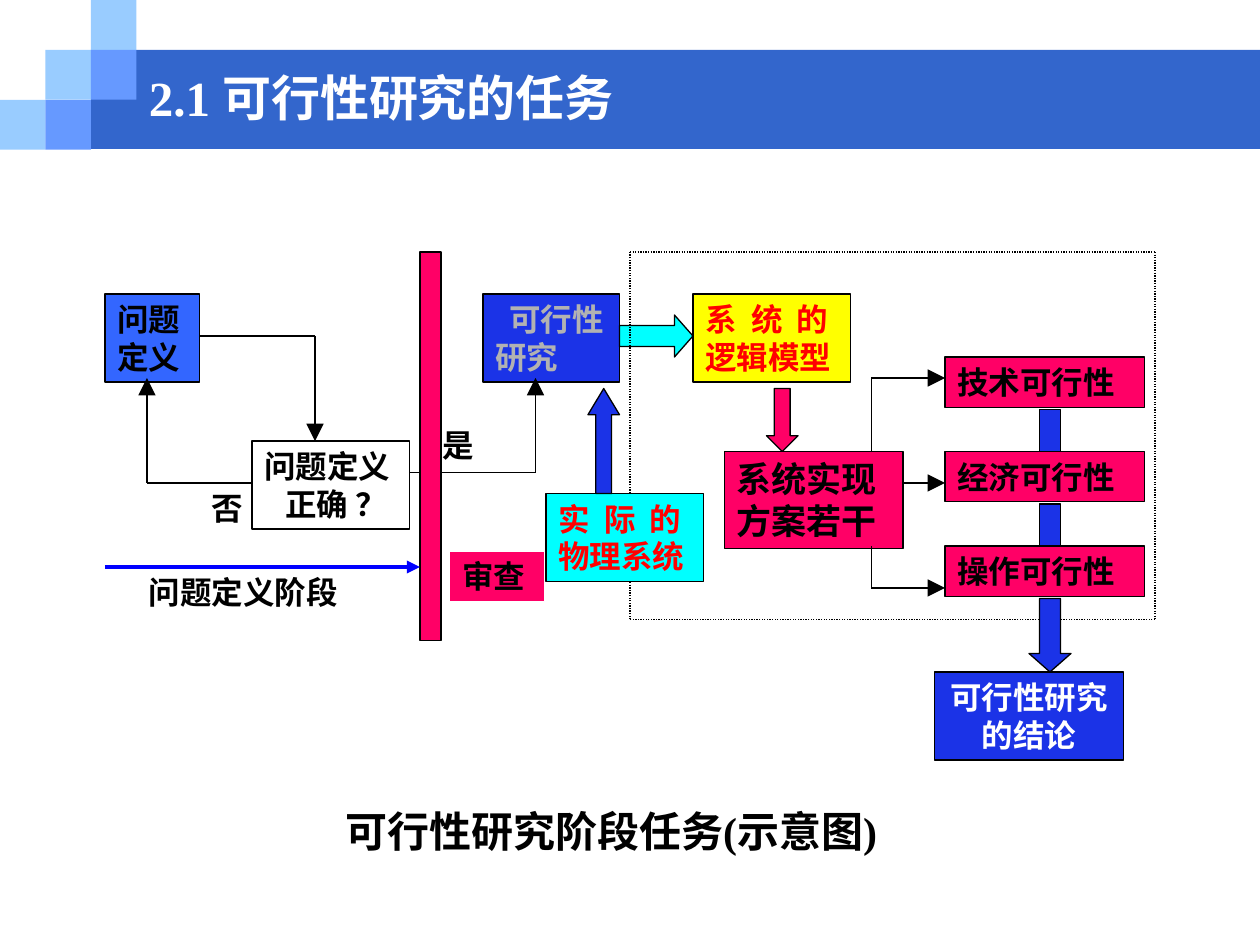
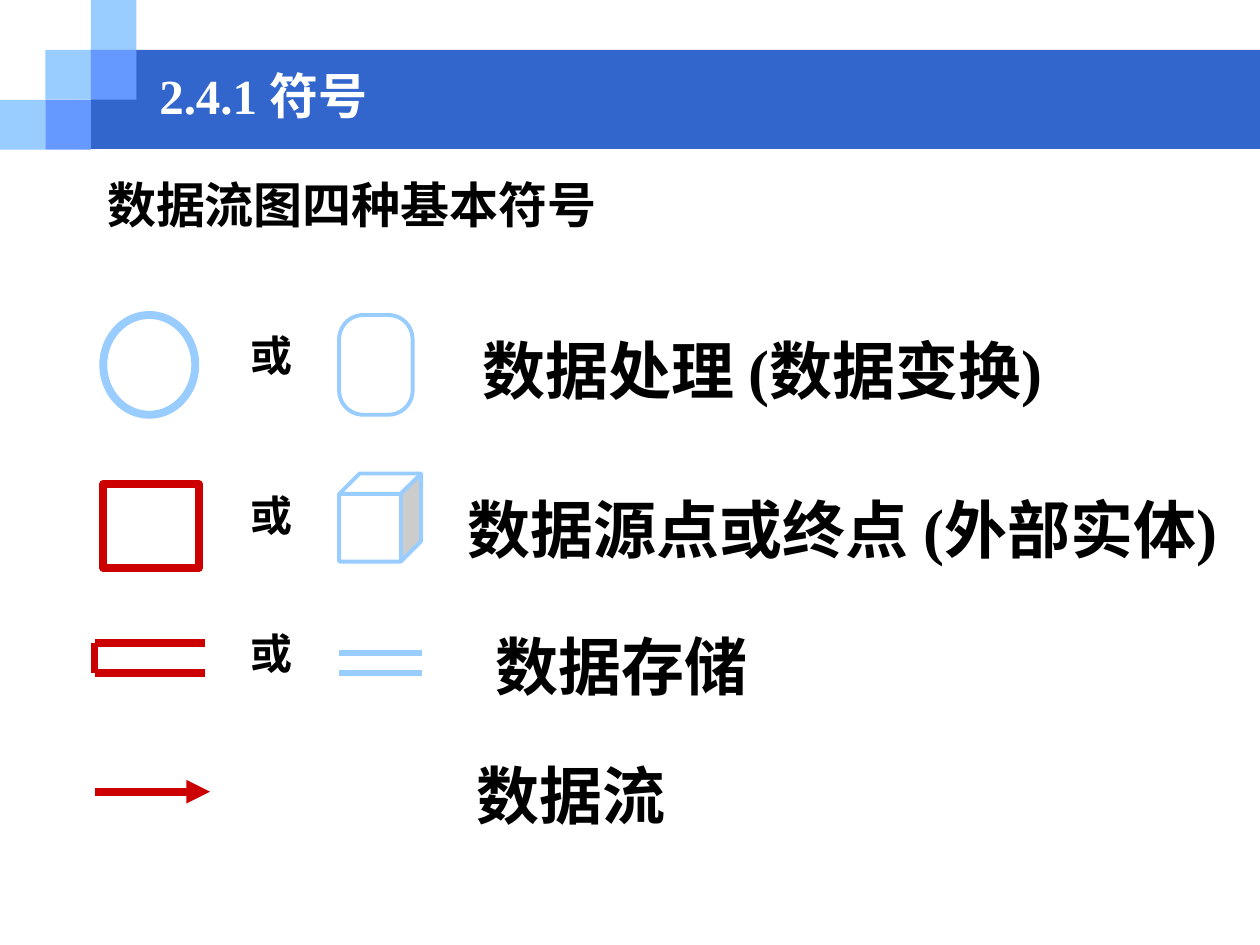
from itertools import pairwise

from lxml.etree import SubElement
from pptx import Presentation
from pptx.dml.color import RGBColor
from pptx.enum.dml import MSO_LINE_DASH_STYLE as Dash
from pptx.enum.shapes import MSO_CONNECTOR as Connector, MSO_SHAPE as Shape
from pptx.enum.text import MSO_ANCHOR as Anchor, PP_ALIGN as Align
from pptx.oxml.ns import qn
from pptx.util import Inches, Pt

# The page is a grid of 120 columns and 90 rows, twelve to the inch
COLUMNS, ROWS = 120, 90
SLIDE_W, SLIDE_H = Inches(10), Inches(7.5)

COLORS = {
    "band": "3366CC", "sky": "99CCFF", "overlap": "6699FF",
    "start": "3366FF", "study": "1B33E7", "stage": "0000FF",
    "check": "FF0066", "physical": "00FFFF", "logical": "FFFF00",
    "black": "000000", "white": "FFFFFF", "gray": "B2B2B2",
    "red": "FF0000", "symbol": "CC0000",
}
SERIF, SANS = "Times New Roman", "Arial"


def color(name):
    return RGBColor.from_string(COLORS[name])


def grid(*lengths):
    """Turn alternating columns and rows into slide lengths."""
    return [round(SLIDE_H * n / ROWS) if i % 2 else round(SLIDE_W * n / COLUMNS)
            for i, n in enumerate(lengths)]


def set_text(holder, runs, size=18, ink="black", font=SERIF, align=Align.LEFT,
             anchor=Anchor.TOP, wrap=True, margin=0, indent=0):
    """Write one bold paragraph; runs is a string or (text, letter spacing) pairs."""
    frame = holder.text_frame
    frame.word_wrap = wrap
    frame.vertical_anchor = anchor
    paragraph = frame.paragraphs[0]
    paragraph.alignment = align
    if margin or indent:
        properties = paragraph._p.get_or_add_pPr()
        properties.set("marL", str(grid(margin)[0]))
        properties.set("indent", str(grid(indent)[0]))
    for words, spacing in [(runs, 0)] if isinstance(runs, str) else runs:
        run = paragraph.add_run()
        run.text = words
        for name, value in {"size": Pt(size), "bold": True, "name": font}.items():
            setattr(run.font, name, value)
        run.font.color.rgb = color(ink)
        if spacing:
            run._r.get_or_add_rPr().set("spc", str(spacing * 100))


def add_label(slide, place, words, **style):
    set_text(slide.shapes.add_textbox(*grid(*place)), words, **style)


def add_figure(slide, kind, place, fill=None, line="black", weight=0.75, adjust=()):
    figure = slide.shapes.add_shape(kind, *grid(*place))
    figure.shadow.inherit = False
    for i, value in enumerate(adjust):
        figure.adjustments[i] = value
    if fill:
        figure.fill.solid()
        figure.fill.fore_color.rgb = color(fill)
    else:
        figure.fill.background()
    if line:
        figure.line.color.rgb = color(line)
        figure.line.width = Pt(weight)
    else:
        figure.line.fill.background()
    return figure


def add_box(slide, place, fill, words, line="black", **style):
    set_text(add_figure(slide, Shape.RECTANGLE, place, fill, line), words, **style)


def add_route(slide, points, ink="black", weight=0.75, head=None, dash=None):
    """Join the points with straight lines; head sizes the last arrowhead."""
    for start, end in pairwise(points):
        leg = slide.shapes.add_connector(Connector.STRAIGHT, *grid(*start, *end))
        leg.line.color.rgb = color(ink)
        leg.line.width = Pt(weight)
        if dash:
            leg.line.dash_style = dash
        if head and end == points[-1]:
            SubElement(leg.line._get_or_add_ln(), qn("a:tailEnd"),
                       type="triangle", w=head, len=head)
        SubElement(leg._element.spPr, qn("a:effectLst"))


def add_page(deck, title, place):
    """Blank slide with the band, the stepped tiles and the title."""
    slide = deck.slides.add_slide(deck.slide_layouts[6])
    tile_w, tile_h = 4.33, 4.75
    add_figure(slide, Shape.RECTANGLE,
               (2 * tile_w, tile_h, COLUMNS - 2 * tile_w, 2 * tile_h - 0.05), "band", None)
    for column, row, fill in [(0, 2, "sky"), (1, 1, "sky"), (2, 0, "sky"),
                              (2, 1, "overlap"), (1, 2, "overlap")]:
        add_figure(slide, Shape.RECTANGLE,
                   (column * tile_w, row * tile_h, tile_w, tile_h), fill, None)
    add_label(slide, place, title, size=28, ink="white", anchor=Anchor.MIDDLE)
    return slide


def build_task_slide(deck):
    slide = add_page(deck, "2.1 可行性研究的任务", (13, 6, 97, 6.4))
    one_line, two_lines = 4.8, 8.4

    # Problem definition stage
    add_box(slide, (10, 28, 9, two_lines), "start", "问题定义")
    add_box(slide, (46, 28, 13, two_lines), "study", "可行性研究", ink="gray", indent=1.3)
    add_box(slide, (24, 42, 15, two_lines), "white", "问题定义正确 ？",
            margin=2, indent=-2)
    for route in [[(24, 46), (14, 46), (14, 36)],
                  [(19, 32), (30, 32), (30, 42)],
                  [(39, 45), (51, 45), (51, 36)]]:
        add_route(slide, route, head="lg")
    add_figure(slide, Shape.RECTANGLE, (40, 24, 2, 37), "check")
    add_route(slide, [(10, 54), (40, 54)], "stage", 2.5, "med")
    add_label(slide, (13, 54, 21, one_line), "问题定义阶段")
    add_box(slide, (42.84, 52.5, 9, one_line), "check", "审查", line="white")

    # Models of the system
    add_figure(slide, Shape.RIGHT_ARROW, (59, 30, 7, 4), "physical", adjust=(0.5, 0.44))
    add_box(slide, (66, 28, 15, two_lines), "logical",
            [("系 统 的", 2), ("逻辑模型", 0)], ink="red")
    add_route(slide, [(60, 24), (110, 24), (110, 59), (60, 59), (60, 24)],
              dash=Dash.ROUND_DOT)

    # Three kinds of feasibility
    for i, aspect in enumerate(["技术可行性", "经济可行性", "操作可行性"]):
        add_box(slide, (90, 34 + 9 * i, 19, one_line), "check", aspect)

    add_box(slide, (52, 47, 15, two_lines), "physical",
            [("实 际 的", 2), ("物理系统", 0)], ink="red")
    add_figure(slide, Shape.UP_ARROW, (56, 37, 3, 10), "study", adjust=(0.5, 0.83))
    add_label(slide, (19, 46, 5, one_line), "否")
    add_label(slide, (41, 40, 5, one_line), "是")

    # Candidate solutions and the conclusion
    add_box(slide, (69, 43, 17, 9.24), "check", "系统实现方案若干", size=20)
    add_figure(slide, Shape.DOWN_ARROW, (73, 37, 3, 6), "check", adjust=(0.5, 0.5))
    for route in [[(83, 43), (83, 36), (90, 36)],
                  [(86, 46), (90, 46)],
                  [(83, 52), (83, 56), (90, 56)]]:
        add_route(slide, route, head="lg")
    add_box(slide, (89, 64, 18, two_lines), "study", "可行性研究的结论",
            ink="white", align=Align.CENTER)
    for top in (39, 48):
        add_figure(slide, Shape.RECTANGLE, (99, top, 2, 4), "study")
    add_figure(slide, Shape.DOWN_ARROW, (98, 57, 4, 7), "study", adjust=(0.5, 0.44))

    add_label(slide, (31.7, 76.1, 55.9, 6), "可行性研究阶段任务(示意图)",
              size=24, wrap=False)


def build_symbol_slide(deck):
    slide = add_page(deck, "2.4.1 符号", (14, 7, 97, 4))
    add_label(slide, (8, 16, 51, 6.84), "数据流图四种基本符号",
              size=28, font=SANS, align=Align.CENTER)

    # Process and external entity
    left, right = 9.84, 32.3
    add_figure(slide, Shape.OVAL, (left, 30, 8.76, 9.5), None, "sky", 4.5)
    add_figure(slide, Shape.ROUNDED_RECTANGLE, (right, 30, 7, 9.5), "white", "sky", 2.25,
               adjust=(0.33,))
    add_figure(slide, Shape.RECTANGLE, (left, 46.1, 9.1, 8), None, "symbol", 4.5)
    add_figure(slide, Shape.CUBE, (right, 45.1, 7.8, 8.4), "white", "sky", 2.25,
               adjust=(0.25,))

    # Data store and data flow
    for route in [[(9, 61.2), (19.5, 61.2)], [(9, 64.1), (19.5, 64.1)],
                  [(9, 61.2), (9, 64.1)]]:
        add_route(slide, route, "symbol", 4.5)
    for row in (62.2, 64.1):
        add_route(slide, [(right, row), (40.2, row)], "sky", 3)
    add_route(slide, [(9, 75.4), (20, 75.4)], "symbol", 4.5, "med")

    # Meanings and alternatives
    for left, top, width, meaning in [(38.8, 31, 61.7, "数据处理 (数据变换)"),
                                      (37.4, 46.1, 79.7, "数据源点或终点 (外部实体)"),
                                      (46, 59.2, 26.4, "数据存储"),
                                      (44.2, 71.5, 20.4, "数据流")]:
        add_label(slide, (left, top, width, 8.4), meaning,
                  size=36, align=Align.RIGHT, wrap=False)
    for top in (30.8, 46, 59.2):
        add_label(slide, (22.7, top, 7, 6), "或", size=24, font=SANS)


def main():
    deck = Presentation()
    deck.slide_width, deck.slide_height = SLIDE_W, SLIDE_H
    build_task_slide(deck)
    build_symbol_slide(deck)
    deck.save("out.pptx")


if __name__ == "__main__":
    main()
